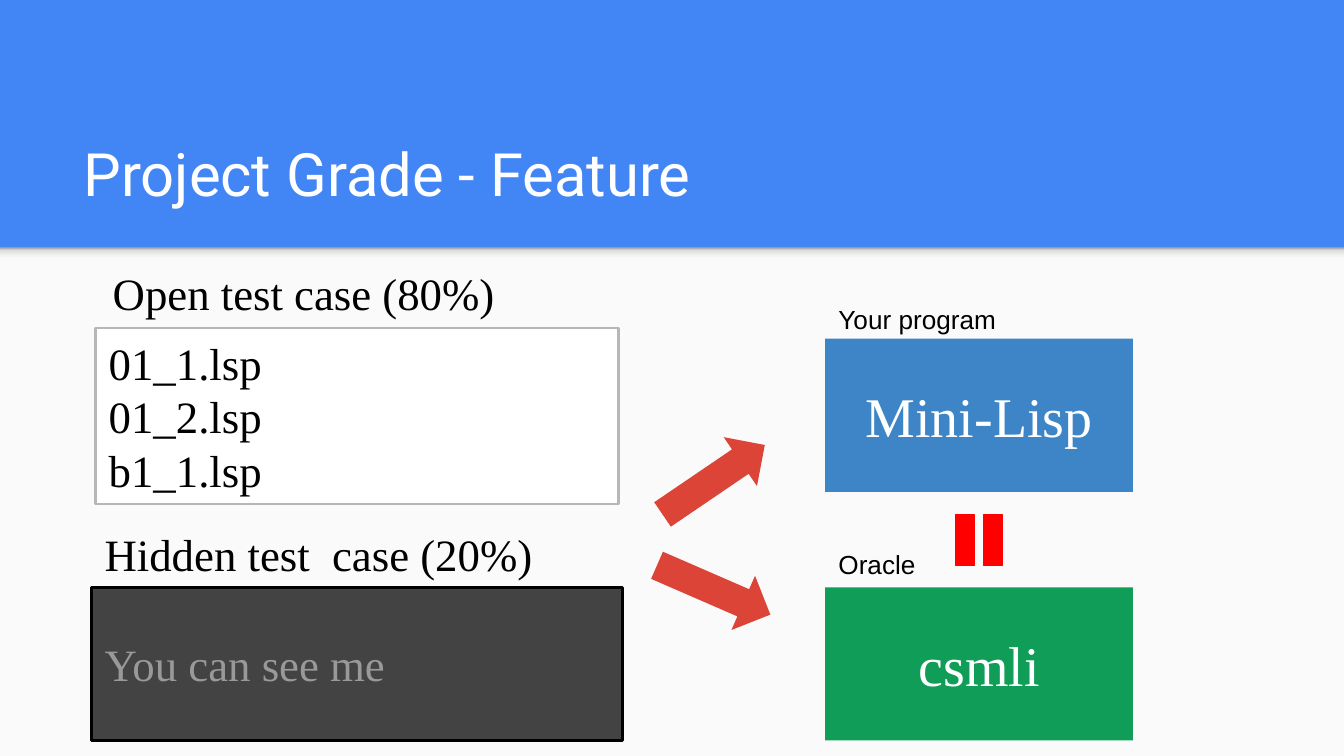
from copy import deepcopy

from pptx import Presentation
from pptx.dml.color import RGBColor
from pptx.enum.shapes import MSO_SHAPE
from pptx.enum.text import MSO_ANCHOR, MSO_AUTO_SIZE, PP_ALIGN
from pptx.util import Inches, Pt


def paint(color_format, hex_color):
    color_format.rgb = RGBColor.from_string(hex_color)


def write(holder, lines, font, size, color, anchor=MSO_ANCHOR.MIDDLE, align=PP_ALIGN.LEFT):
    frame = holder.text_frame
    frame_format = {
        "word_wrap": True, "auto_size": MSO_AUTO_SIZE.NONE, "vertical_anchor": anchor,
        "margin_left": cell, "margin_right": cell, "margin_top": cell, "margin_bottom": cell,
    }
    for name, value in frame_format.items():
        setattr(frame, name, value)
    frame.text = "\n".join(lines)
    for paragraph in frame.paragraphs:
        paragraph.alignment = align
        for name, value in {"name": font, "size": Pt(size)}.items():
            setattr(paragraph.runs[0].font, name, value)
        paint(paragraph.runs[0].font.color, color)


deck = Presentation()
deck.slide_width = Inches(10)
deck.slide_height = deck.slide_width * 9 // 16
columns = 100
cell = deck.slide_width // columns
rows = deck.slide_height / cell
slide = deck.slides.add_slide(deck.slide_layouts[5])
slide.background.fill.solid()
paint(slide.background.fill.fore_color, "4285F4")

title = slide.shapes.title
title_place = {"left": 5.2, "top": 8.1, "width": 89.9, "height": 8.4}
for side, cells in title_place.items():
    setattr(title, side, int(cells * cell))
write(title, ["Project Grade - Feature"], "Roboto", 32, "FFFFFF", MSO_ANCHOR.BOTTOM)

header_bottom = 18.4
program_left, program_width, box_height = 61.4, 22.9, 11.4
lower_top = 43.7
arrow_left, arrow_width, arrow_height = 48.5, 9.2, 4.4
serif, sans = "Times New Roman", "Arial"

blocks = [
    (MSO_SHAPE.RECTANGLE, (0, header_bottom, columns, rows - header_bottom), "FAFAFA", None, 0, [], None),
    (MSO_SHAPE.RECTANGLE, (0, header_bottom, columns, 1.2), None, None, 0, [], None),
    (MSO_SHAPE.FLOWCHART_PROCESS, (7.1, 24.4, 38.9, 13.1), "FFFFFF", ("B7B7B7", 1.5), 0, [],
     (["01_1.lsp", "01_2.lsp", "b1_1.lsp"], serif, 24, "000000")),
    (MSO_SHAPE.FLOWCHART_PROCESS, (6.8, lower_top, 39.5, box_height), "434343", ("000000", 1.5), 0, [],
     (["You can see me"], serif, 24, "999999")),
    (MSO_SHAPE.RIGHT_ARROW, (arrow_left, 33.5, arrow_width, arrow_height), "DB4437", None, 325.8, [0.5, 0.5], None),
    (MSO_SHAPE.RECTANGLE, (program_left, 25.2, program_width, box_height), "3D85C6", None, 0, [],
     (["Mini-Lisp"], serif, 30, "FFFFFF", MSO_ANCHOR.MIDDLE, PP_ALIGN.CENTER)),
    (MSO_SHAPE.RECTANGLE, (program_left, lower_top, program_width, box_height), "0F9D58", None, 0, [],
     (["csmli"], serif, 30, "FFFFFF", MSO_ANCHOR.MIDDLE, PP_ALIGN.CENTER)),
    (MSO_SHAPE.RIGHT_ARROW, (arrow_left, 41.7, arrow_width, arrow_height), "DB4437", None, 23.5, [0.5, 0.5], None),
    (MSO_SHAPE.MATH_EQUAL, (70.3, 37.3, 5.1, 5.8), "FF0000", ("FF0000", 0.75), 90, [0.24, 0.12], None),
]
for preset, place, fill_color, outline, turn, adjustments, wording in blocks:
    block = slide.shapes.add_shape(preset, *(int(cells * cell) for cells in place))
    block.shadow.inherit = False
    block.rotation = turn
    for index, value in enumerate(adjustments):
        block.adjustments[index] = value
    if outline:
        paint(block.line.fill.fore_color if block.line.fill.type else block.line.color, outline[0])
        block.line.width = Pt(outline[1])
    else:
        block.line.fill.background()
    if fill_color:
        block.fill.solid()
        paint(block.fill.fore_color, fill_color)
    else:
        block.fill.gradient()
        block.fill.gradient_angle = 90
        stop_list = block.element.xpath(".//a:gsLst")[0]
        for stop in list(stop_list):
            stop_list.append(deepcopy(stop))
        shades = [(0, "F9F9F9"), (0.36, "F9F9F9"), (0.8, "DEDEDE"), (1, "999999")]
        for stop, (position, shade) in zip(block.fill.gradient_stops, shades):
            stop.position = position
            paint(stop.color, shade)
    if wording:
        write(block, *wording)

labels = [
    ("Open test case (80%)", (7.4, 18.8, 36.1, 5.5), serif, 24),
    ("Hidden test  case (20%)", (6.8, 38.2, 34, 5.5), serif, 24),
    ("Your program", (program_left, 21.6, 15.4, 4), sans, 14),
    ("Oracle", (program_left, 39.8, 15.4, 4), sans, 14),
]
for caption, place, font, size in labels:
    label = slide.shapes.add_textbox(*(int(cells * cell) for cells in place))
    write(label, [caption], font, size, "000000", MSO_ANCHOR.TOP)

deck.save("out.pptx")
